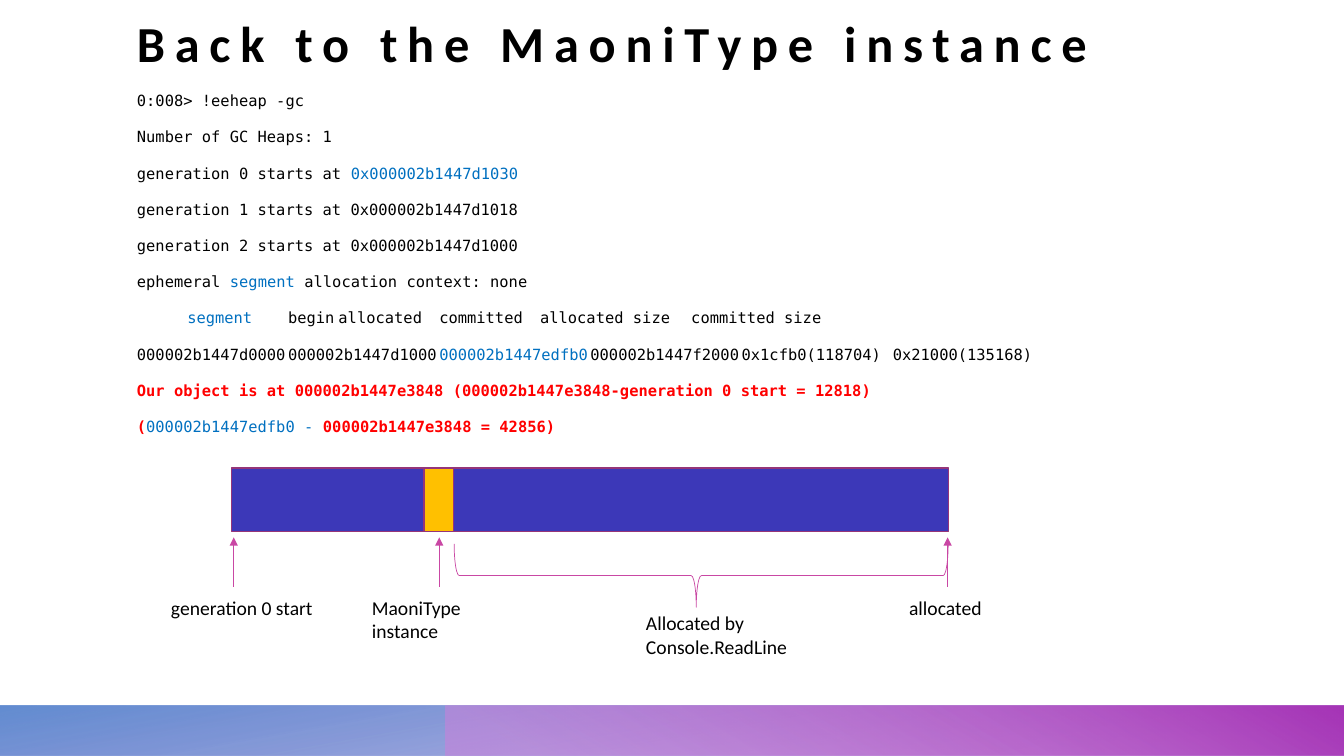
from dataclasses import dataclass

from lxml import etree
from pptx import Presentation
from pptx import util as u
from pptx.dml import color
from pptx.enum import shapes, text
from pptx.oxml import ns

Cm, Pt = u.Cm, u.Pt


@dataclass(frozen=True)
class Theme:
    sans: str = "Calibri"
    mono: str = "DejaVu Sans Mono"
    ink: str = "000000"
    blue: str = "0070C0"
    red: str = "FF0000"
    heap: str = "3C38B8"
    gold: str = "FFC000"
    edge: str = "953579"
    pink: str = "C947A4"
    cool: tuple = ((14, "3C38B8", 28), (100, "4779C9", 85))
    warm: tuple = ((9, "CE80DA", 55), (99, "A635B7", 100))
    head: float = 36
    code: float = 11
    note: float = 14


T = Theme()
INK, BLUE, RED = (T.ink, False), (T.blue, False), (T.red, True)
FIRST, STEP = 3.74, 4.2
STOPS = [FIRST + STEP * i for i in range(6)]

CODE = [
    [("0:008> !eeheap -gc", INK)],
    [("Number of GC Heaps: 1", INK)],
    [("generation 0 starts at ", INK), ("0x000002b1447d1030", BLUE)],
    [("generation 1 starts at 0x000002b1447d1018", INK)],
    [("generation 2 starts at 0x000002b1447d1000", INK)],
    [("ephemeral ", INK), ("segment", BLUE), (" allocation context: none", INK)],
    [("\tsegment", BLUE),
     ("\tbegin\tallocated\tcommitted\tallocated size\tcommitted size", INK)],
    [("000002b1447d0000\t000002b1447d1000", INK), ("\t000002b1447edfb0", BLUE),
     ("\t000002b1447f2000\t0x1cfb0(118704)\t0x21000(135168)", INK)],
    [("Our object is at 000002b1447e3848 "
      "(000002b1447e3848-generation 0 start = 12818)", RED)],
    [("(", RED), ("000002b1447edfb0 - ", BLUE),
     ("000002b1447e3848 = 42856)", RED)],
]

LABELS = [
    ("generation 0 start", (4.06, 14.88, 4.42, 0.86)),
    ("MaoniType instance", (9.12, 14.88, 4.42, 0.86)),
    ("allocated", (22.66, 14.88, 2.46, 0.86)),
    ("Allocated by Console.ReadLine", (16.03, 15.27, 4.57, 1.45)),
]


def put(obj, vals):
    for key, val in vals.items():
        setattr(obj, key, val)


def rgb(code):
    return color.RGBColor.from_string(code)


def sub(parent, tag, **attrs):
    return etree.SubElement(parent, ns.qn(tag), attrs)


def place(shape, box):
    put(shape, dict(zip(("left", "top", "width", "height"), map(Cm, box))))


def write(para, words, face, size, tint=T.ink, bold=False):
    run = para.add_run()
    run.text = words
    put(run.font, {"name": face, "size": Pt(size), "bold": bold})
    run.font.color.rgb = rgb(tint)
    return run


def frame(shape, box, anchor):
    place(shape, box)
    put(shape.text_frame, {
        "margin_left": 0, "margin_top": 0, "margin_right": 0,
        "margin_bottom": 0, "word_wrap": True, "vertical_anchor": anchor,
        "auto_size": text.MSO_AUTO_SIZE.NONE})
    return shape.text_frame


def title(slide, words):
    body = frame(slide.shapes.title, (3.45, 0, 28.45, 1.83),
                 text.MSO_ANCHOR.BOTTOM)
    para = body.paragraphs[0]
    para.alignment = text.PP_ALIGN.LEFT
    run = write(para, words, T.sans, T.head, bold=True)
    run.font._element.set("spc", "700")


def listing(slide, lines):
    body = frame(slide.placeholders[1], (3.45, 2.21, 28.8, 15.04),
                 text.MSO_ANCHOR.TOP)
    for i, line in enumerate(lines):
        para = body.add_paragraph() if i else body.paragraphs[0]
        put(para, {"line_spacing": 1.2, "space_before": Pt(10),
                   "space_after": Pt(0), "alignment": text.PP_ALIGN.LEFT})
        props = para._p.get_or_add_pPr()
        props.set("marL", "0")
        props.set("indent", "0")
        sub(props, "a:buNone")
        tabs = sum(words.count("\t") for words, _ in line)
        if tabs:
            stops = sub(props, "a:tabLst")
            for stop in STOPS[-tabs:]:
                sub(stops, "a:tab", pos=str(int(Cm(stop))), algn="r")
        for words, (tint, bold) in line:
            write(para, words, T.mono, T.code, tint, bold)


def block(slide, kind, box, fill=None, line=None, width=1):
    shape = slide.shapes.add_shape(kind, *map(Cm, box))
    shape.shadow.inherit = False
    if fill:
        shape.fill.solid()
        shape.fill.fore_color.rgb = rgb(fill)
    else:
        shape.fill.background()
    if line:
        shape.line.color.rgb = rgb(line)
        shape.line.width = Pt(width)
    else:
        shape.line.fill.background()
    return shape


def band(slide, box, stops, angle, turn=0):
    shape = block(slide, shapes.MSO_SHAPE.RECTANGLE, box)
    shape.rotation = turn
    props = shape._element.spPr
    props.xfrm.set("flipH", "1")
    grad = etree.Element(ns.qn("a:gradFill"), rotWithShape="1")
    marks = sub(grad, "a:gsLst")
    for spot, tint, alpha in stops:
        mark = sub(marks, "a:gs", pos=str(spot * 1000))
        hue = sub(mark, "a:srgbClr", val=tint)
        sub(hue, "a:alpha", val=str(alpha * 1000))
    sub(grad, "a:lin", ang=str(angle * 60000), scaled="0")
    props.replace(props.find(ns.qn("a:noFill")), grad)


def arrow(slide, x):
    line = slide.shapes.add_connector(
        shapes.MSO_CONNECTOR.STRAIGHT, Cm(x), Cm(14.78), Cm(x), Cm(13.54))
    line.line.color.rgb = rgb(T.pink)
    line.line.width = Pt(0.5)
    sub(line.line._get_or_add_ln(), "a:tailEnd", type="triangle")
    sub(line._element.spPr, "a:effectLst")


def brace(slide, box):
    shape = block(slide, shapes.MSO_SHAPE.RIGHT_BRACE, box,
                  line=T.pink, width=0.5)
    shape.rotation = 90
    shape.adjustments[0] = 0.08
    shape.adjustments[1] = 0.51


def label(slide, words, box):
    body = slide.shapes.add_textbox(*map(Cm, box)).text_frame
    put(body, {"word_wrap": True,
               "auto_size": text.MSO_AUTO_SIZE.SHAPE_TO_FIT_TEXT})
    write(body.paragraphs[0], words, T.sans, T.note)


def main():
    deck = Presentation()
    put(deck, {"slide_width": Cm(33.87), "slide_height": Cm(19.05)})
    slide = deck.slides.add_slide(deck.slide_layouts[1])
    band(slide, (0, 17.78, 33.87, 1.27), T.cool, 100, 180)
    band(slide, (11.22, 17.78, 22.65, 1.27), T.warm, 240)
    title(slide, "Back to the MaoniType instance")
    listing(slide, CODE)
    rect = shapes.MSO_SHAPE.RECTANGLE
    block(slide, rect, (5.84, 11.79, 18.06, 1.6), T.heap, T.edge)
    block(slide, rect, (10.69, 11.79, 0.74, 1.6), T.gold, T.edge)
    for x in (5.89, 11.07, 23.88):
        arrow(slide, x)
    brace(slide, (16.87, 8.28, 1.6, 12.45))
    for words, box in LABELS:
        label(slide, words, box)
    deck.save("out.pptx")


if __name__ == "__main__":
    main()
